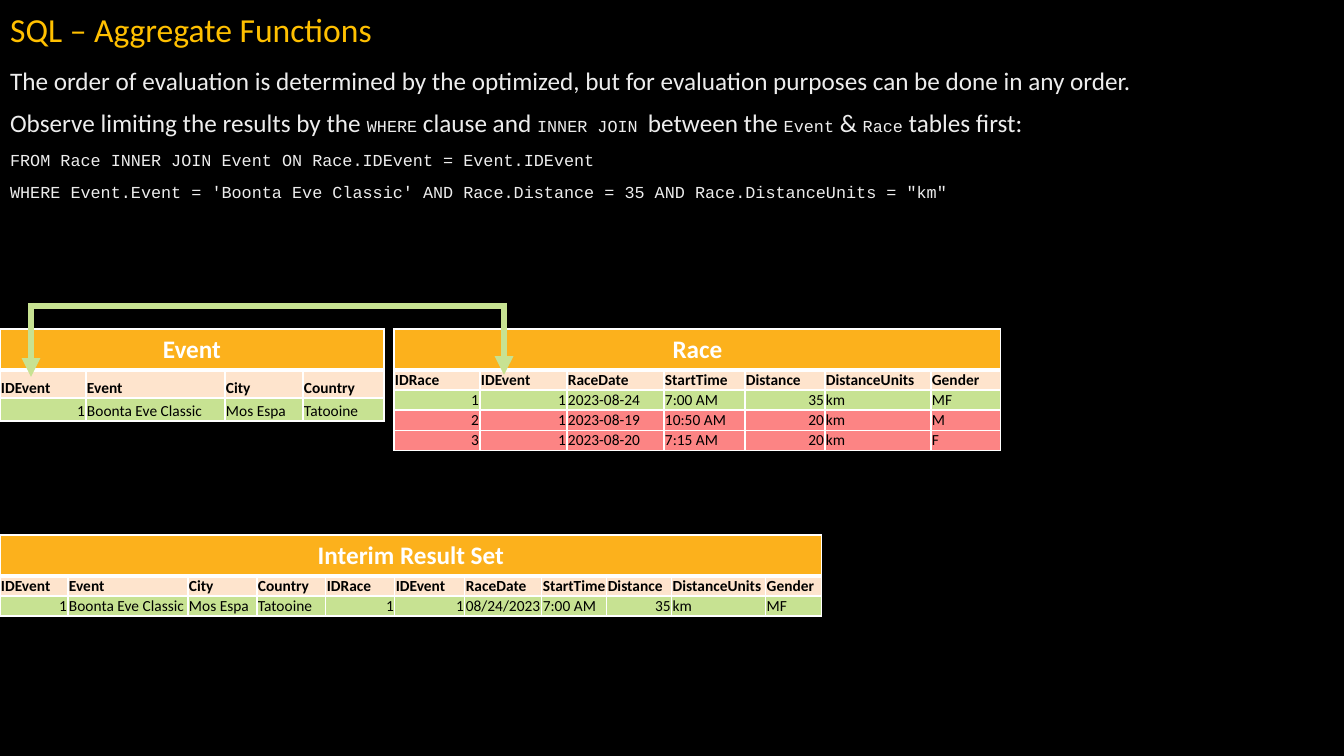
from lxml.etree import SubElement
from pptx import Presentation
from pptx.dml.color import RGBColor
from pptx.enum.shapes import MSO_CONNECTOR
from pptx.enum.text import MSO_ANCHOR, MSO_AUTO_SIZE, PP_ALIGN
from pptx.oxml import parse_xml
from pptx.oxml.ns import nsdecls, qn
from pptx.util import Pt

SCALE = 914400 / 100.8
WHITE, BLACK, GOLD = "FFFFFF", "000000", "FFC000"
PALE, AMBER, CREAM = "EDEDED", "FCB11C", "FEE4CD"
GREEN, RED = "C7E292", "FC8484"


def px(count):
    return round(count * SCALE)


def paint(target, tone):
    target.solid()
    target.fore_color.rgb = RGBColor.from_string(tone)


def add_run(para, text, size, tone, face="Calibri", bold=False):
    run = para.add_run()
    run.text = text
    run.font.size = Pt(size)
    run.font.name = face
    run.font.bold = bold
    paint(run.font.fill, tone)


def place(holder, left, top, width, height, anchor):
    holder.left, holder.top = px(left), px(top)
    holder.width, holder.height = px(width), px(height)
    frame = holder.text_frame
    frame.word_wrap = True
    frame.auto_size = MSO_AUTO_SIZE.NONE
    frame.vertical_anchor = anchor
    return frame


def add_title(slide, box, text):
    frame = place(slide.shapes.title, *box, MSO_ANCHOR.MIDDLE)
    para = frame.paragraphs[0]
    para.alignment = PP_ALIGN.LEFT
    para.line_spacing = 0.9
    add_run(para, text, 24, GOLD)


def add_body(slide, box, lines):
    frame = place(slide.placeholders[1], *box, MSO_ANCHOR.TOP)
    for row, line in enumerate(lines):
        para = frame.add_paragraph() if row else frame.paragraphs[0]
        props = para._p.get_or_add_pPr()
        props.set("marL", "0")
        props.set("indent", "0")
        SubElement(props, qn("a:buNone"))
        para.line_spacing = 0.9
        para.space_before = Pt(10 if row else 0)
        for turn, part in enumerate(line.split("`")):
            if part and turn % 2:
                add_run(para, part, 12, PALE, "Courier New")
            elif part:
                add_run(para, part, 18, PALE)


def add_edges(cell, base):
    props = cell._tc.get_or_add_tcPr()
    for spot, side in enumerate("LRTB"):
        width = Pt(base if side == "B" else 1)
        props.insert(spot, parse_xml(
            f'<a:ln{side} {nsdecls("a")} w="{width}"><a:solidFill>'
            f'<a:srgbClr val="{WHITE}"/></a:solidFill></a:ln{side}>'))


def fill_cell(cell, text, tone, bold):
    cell.margin_left = cell.margin_right = cell.margin_top = px(1)
    cell.margin_bottom = 0
    cell.vertical_anchor = MSO_ANCHOR.BOTTOM
    paint(cell.fill, tone)
    add_edges(cell, 1)
    para = cell.text_frame.paragraphs[0]
    para.alignment = PP_ALIGN.RIGHT if text.isdigit() else PP_ALIGN.LEFT
    add_run(para, text, 11, BLACK, bold=bold)


def add_grid(slide, left, top, name, widths, heights, rows, tones):
    frame = slide.shapes.add_table(
        len(heights), len(widths), px(left), px(top),
        px(sum(widths)), px(sum(heights)))
    grid = frame.table
    grid.first_row = grid.horz_banding = False
    for col, width in zip(grid.columns, widths):
        col.width = px(width)
    for row, height in zip(grid.rows, heights):
        row.height = px(height)
    head = grid.cell(0, 0)
    head.merge(grid.cell(0, len(widths) - 1))
    for cell in grid.rows[0].cells:
        paint(cell.fill, AMBER)
        add_edges(cell, 3)
    para = head.text_frame.paragraphs[0]
    para.alignment = PP_ALIGN.CENTER
    add_run(para, name, 18, WHITE, bold=True)
    for y, (row, tone) in enumerate(zip(rows, tones), 1):
        for x, text in enumerate(row):
            fill_cell(grid.cell(y, x), text, tone, y == 1)


def add_line(slide, start, end, arrow=False):
    line = slide.shapes.add_connector(
        MSO_CONNECTOR.STRAIGHT, *map(px, start + end))
    paint(line.line.fill, GREEN)
    line.line.width = Pt(4.5)
    if arrow:
        SubElement(line.line._get_or_add_ln(), qn("a:tailEnd"), type="triangle")
    SubElement(line._element.spPr, qn("a:effectLst"))


def add_join(slide, left, top, width):
    right = left + width
    add_line(slide, (right, top), (right, top + 72), True)
    add_line(slide, (left, top), (left, top + 74), True)
    add_line(slide, (right, top + 3), (left, top + 3))


def main():
    deck = Presentation()
    deck.slide_width, deck.slide_height = px(1344), px(756)
    slide = deck.slides.add_slide(deck.slide_layouts[1])
    paint(slide.background.fill, BLACK)
    add_title(slide, (0, 0, 1344, 64), "SQL – Aggregate Functions")
    add_body(slide, (0, 64, 1344, 175), [
        "The order of evaluation is determined by the optimized, "
        "but for evaluation purposes can be done in any order.",
        "Observe limiting the results by the `WHERE` clause and "
        "`INNER JOIN `between the `Event` & `Race` tables first:",
        "`FROM Race INNER JOIN Event ON Race.IDEvent = Event.IDEvent`",
        "`WHERE Event.Event = 'Boonta Eve Classic' AND Race.Distance = 35 "
        "AND Race.DistanceUnits = \"km\"`",
    ])
    events = [
        ["IDEvent", "Event", "City", "Country"],
        ["1", "Boonta Eve Classic", "Mos Espa", "Tatooine"],
    ]
    races = [
        ["IDRace", "IDEvent", "RaceDate", "StartTime", "Distance",
         "DistanceUnits", "Gender"],
        ["1", "1", "2023-08-24", "7:00 AM", "35", "km", "MF"],
        ["2", "1", "2023-08-19", "10:50 AM", "20", "km", "M"],
        ["3", "1", "2023-08-20", "7:15 AM", "20", "km", "F"],
    ]
    found = [
        events[0] + races[0],
        events[1] + ["1", "1", "08/24/2023", "7:00 AM", "35", "km", "MF"],
    ]
    add_grid(slide, 394, 329, "Race", [86, 87, 97, 81, 80, 106, 70],
             [41, 20, 19, 19, 19], races, [CREAM, GREEN, RED, RED])
    add_grid(slide, 0, 329, "Event", [86, 139, 78, 81],
             [41, 28, 23], events, [CREAM, GREEN])
    add_join(slide, 31, 303, 473)
    add_grid(slide, 0, 535, "Interim Result Set",
             [68, 120, 69, 69, 69, 70, 77, 65, 65, 94, 56],
             [41, 20, 19], found, [CREAM, GREEN])
    deck.save("out.pptx")


if __name__ == "__main__":
    main()
